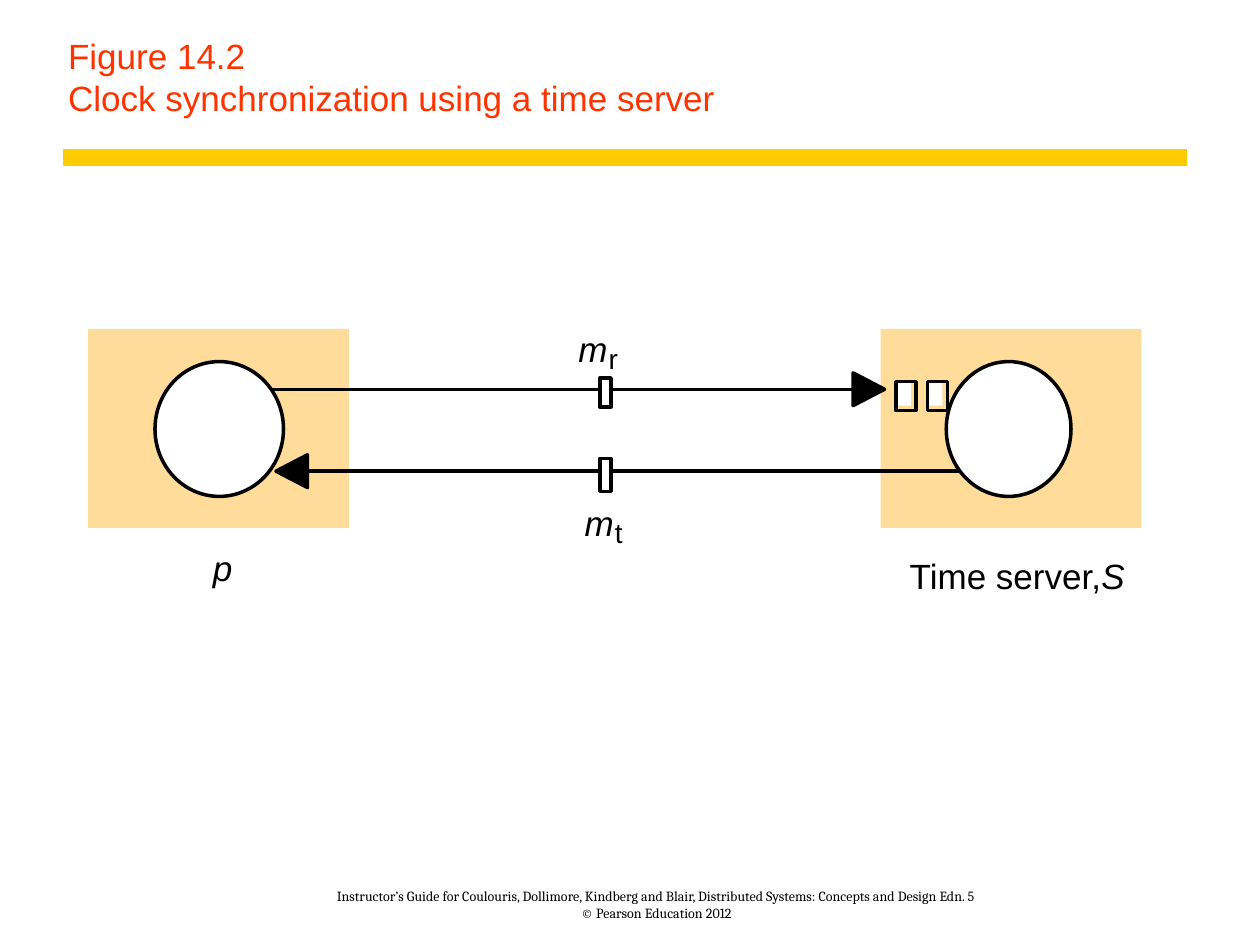
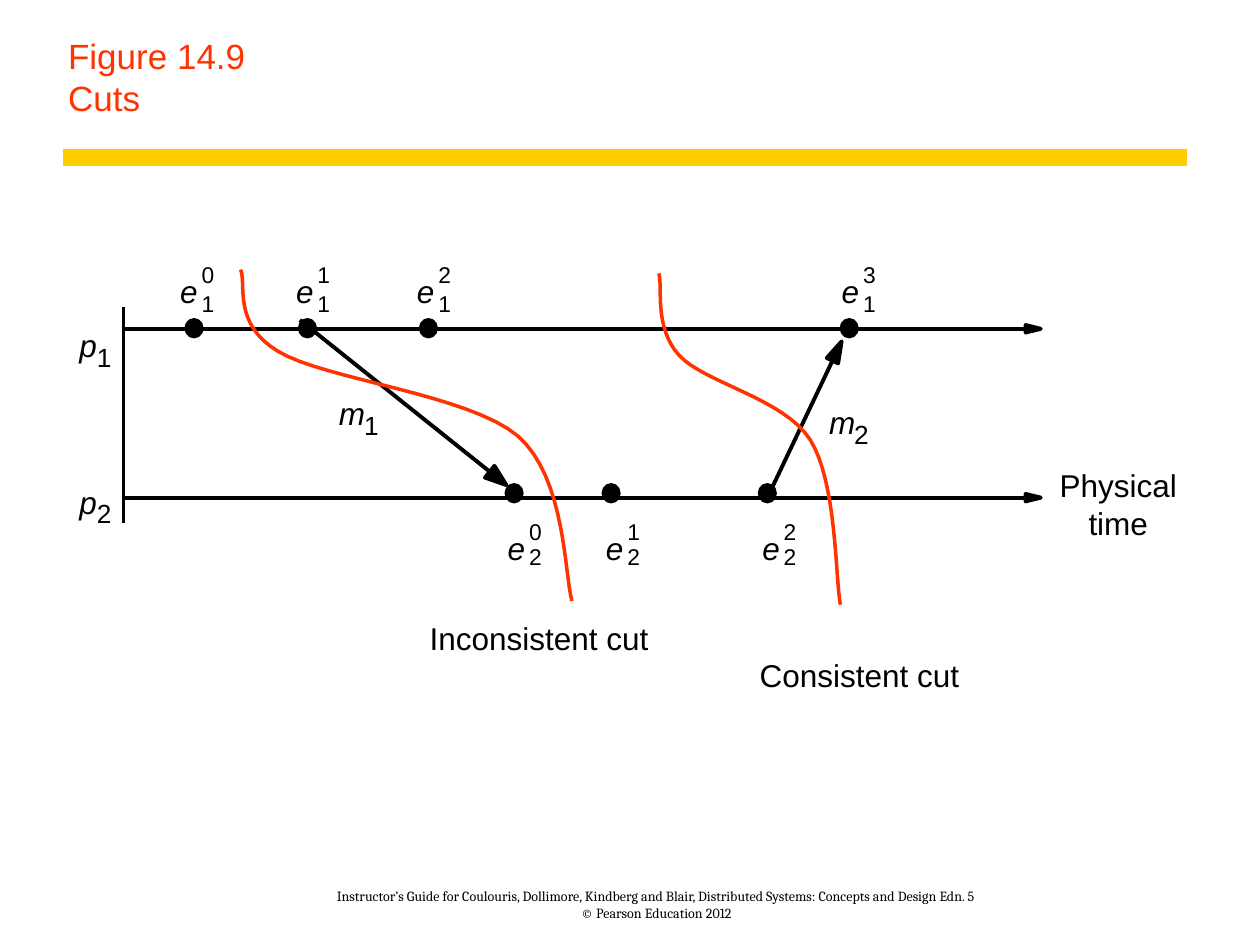
from collections import namedtuple
from math import hypot

from lxml import etree
from pptx import Presentation
from pptx.dml.color import RGBColor
from pptx.enum.shapes import MSO_CONNECTOR, MSO_SHAPE
from pptx.enum.text import MSO_ANCHOR, MSO_AUTO_SIZE, PP_ALIGN
from pptx.oxml.ns import qn
from pptx.util import Inches, Pt

RECTANGLE, ELLIPSE = MSO_SHAPE.RECTANGLE, MSO_SHAPE.OVAL
STRAIGHT = MSO_CONNECTOR.STRAIGHT
LEFT, CENTER = PP_ALIGN.LEFT, PP_ALIGN.CENTER
TOP, BOTTOM = MSO_ANCHOR.TOP, MSO_ANCHOR.BOTTOM

BLACK, WHITE = "000000", "FFFFFF"
RED, GOLD, PEACH = "FF3300", "FFCC00", "FFDC99"
FOOTER = (
    "Instructor’s Guide for Coulouris, Dollimore, Kindberg and Blair, "
    "Distributed Systems: Concepts and Design Edn. 5\n"
    "© Pearson Education 2012"
)
CURVE_STEPS = 16

Area = namedtuple("Area", "slide left top")


def color(hex_string):
    return RGBColor.from_string(hex_string)


def write_text(shape, text, size=18, font="Arial", fill=BLACK, italic=False,
               align=LEFT, anchor=TOP, margins=(0, 0, 0, 0)):
    frame = shape.text_frame
    frame.word_wrap = True
    frame.auto_size = MSO_AUTO_SIZE.NONE
    frame.vertical_anchor = anchor
    (frame.margin_left, frame.margin_top,
     frame.margin_right, frame.margin_bottom) = map(Inches, margins)
    paragraph = frame.paragraphs[0]
    paragraph.text = text.replace("\n", "\v")
    paragraph.alignment = align
    paragraph.font.name = font
    paragraph.font.size = Pt(size)
    paragraph.font.color.rgb = color(fill)
    paragraph.font.italic = italic
    return paragraph


def add_text(area, x, y, width, height, text, **text_format):
    shape = area.slide.shapes.add_textbox(
        Inches(area.left + x), Inches(area.top + y), Inches(width), Inches(height))
    return write_text(shape, text, **text_format)


def paint(shape, fill, line, weight):
    shape.shadow.inherit = False
    if fill:
        shape.fill.solid()
        shape.fill.fore_color.rgb = color(fill)
    else:
        shape.fill.background()
    if line:
        shape.line.color.rgb = color(line)
        shape.line.width = Pt(weight)
    else:
        shape.line.fill.background()


def add_shape(area, kind, x, y, width, height, fill=None, line=None, weight=2):
    shape = area.slide.shapes.add_shape(
        kind, Inches(area.left + x), Inches(area.top + y), Inches(width), Inches(height))
    paint(shape, fill, line, weight)


def add_line(area, start, end, line=BLACK, weight=2):
    (x1, y1), (x2, y2) = start, end
    connector = area.slide.shapes.add_connector(
        STRAIGHT, Inches(area.left + x1), Inches(area.top + y1),
        Inches(area.left + x2), Inches(area.top + y2))
    connector.line.color.rgb = color(line)
    connector.line.width = Pt(weight)
    etree.SubElement(connector._element.spPr, qn("a:effectLst"))


def add_outline(area, points, close, fill=None, line=BLACK, weight=2):
    places = [(Inches(area.left + x), Inches(area.top + y)) for x, y in points]
    builder = area.slide.shapes.build_freeform(*places[0])
    builder.add_line_segments(places[1:], close=close)
    paint(builder.convert_to_shape(), fill, line, weight)


def add_arrow(area, start, tip, head_length, half_width, weight=2):
    (x1, y1), (x2, y2) = start, tip
    distance = hypot(x2 - x1, y2 - y1)
    along_x, along_y = (x2 - x1) / distance, (y2 - y1) / distance
    base_x, base_y = x2 - head_length * along_x, y2 - head_length * along_y
    side_x, side_y = -half_width * along_y, half_width * along_x
    add_outline(area, [tip, (base_x + side_x, base_y + side_y),
                       (base_x - side_x, base_y - side_y)],
                close=True, fill=BLACK, weight=weight)
    add_line(area, start, (base_x, base_y), weight=weight)


def add_curve(area, controls, line):
    points = [controls[0]]
    for first in range(0, len(controls) - 1, 3):
        segment = controls[first:first + 4]
        for step in range(1, CURVE_STEPS + 1):
            t = step / CURVE_STEPS
            weights = ((1 - t) ** 3, 3 * t * (1 - t) ** 2, 3 * t ** 2 * (1 - t), t ** 3)
            points.append(tuple(
                sum(weight * point[axis] for weight, point in zip(weights, segment))
                for axis in (0, 1)))
    add_outline(area, points, close=False, line=line)


def add_symbol(area, x, y, letter, subscript, offset, size=18, index_size=15):
    add_text(area, x, y, 0.3, 0.31, letter, size=size, italic=True)
    add_text(area, x + offset[0], y + offset[1], 0.2, 0.24, subscript, size=index_size)


def add_figure_slide(presentation, title):
    slide = presentation.slides.add_slide(presentation.slide_layouts[5])
    page = Area(slide, 0, 0)
    heading = slide.shapes.title
    heading.left, heading.top = Inches(0.44), Inches(0)
    heading.width, heading.height = Inches(8.97), Inches(1)
    write_text(heading, title, size=20, fill=RED, anchor=BOTTOM,
               margins=(0.1, 0.06, 0.14, 0.06))
    add_line(page, (0.5, 1.25), (9.42, 1.25), line=GOLD, weight=10)
    add_text(page, 2.17, 6.92, 6.08, 0.39, FOOTER, size=8, font="Cambria",
             align=CENTER, anchor=BOTTOM, margins=(0.04, 0, 0.04, 0))
    return slide


def draw_time_server(area):
    request_y, reply_y = 0.48, 1.13
    for x in (0, 6.29):
        add_shape(area, RECTANGLE, x, 0, 2.07, 1.58, fill=PEACH)
    add_shape(area, ELLIPSE, 0.53, 0.26, 1.02, 1.07, fill=WHITE, line=BLACK)
    add_arrow(area, (1.46, request_y), (6.32, request_y), 0.25, 0.13)
    add_arrow(area, (7.03, reply_y), (1.49, reply_y), 0.25, 0.13)
    for x in (6.41, 6.66):
        add_shape(area, RECTANGLE, x, 0.42, 0.12, 0.19, fill=WHITE)
        add_shape(area, RECTANGLE, x, 0.42, 0.16, 0.23, line=BLACK)
    add_shape(area, ELLIPSE, 6.81, 0.26, 0.99, 1.07, fill=WHITE, line=BLACK)
    for y, height in ((0.39, 0.23), (1.03, 0.26)):
        add_shape(area, RECTANGLE, 4.06, y, 0.09, height, fill=WHITE, line=BLACK)
    for x, y, subscript in ((3.89, -0.01, "r"), (3.94, 1.37, "t")):
        add_symbol(area, x, y, "m", subscript, (0.24, 0.11), size=20, index_size=16)
    add_text(area, 0.99, 1.73, 0.3, 0.31, "p", size=20, italic=True)
    server_label = add_text(area, 6.52, 1.79, 1.9, 0.31, "Time server,", size=20)
    server_name = server_label.add_run()
    server_name.text = "S"
    server_name.font.italic = True


def draw_events(area, process, dot_y, label_y, subscript_drop, events):
    for number, (dot_x, label_x) in enumerate(events):
        add_shape(area, ELLIPSE, dot_x, dot_y, 0.12, 0.13,
                  fill=BLACK, line=BLACK, weight=2.25)
        add_symbol(area, label_x, label_y, "e", process, (0.17, subscript_drop),
                   index_size=13)
        add_text(area, label_x + 0.17, label_y - 0.09, 0.2, 0.22, str(number), size=13)


def draw_cuts(area):
    second_axis = 1.34
    for y in (0, second_axis):
        add_arrow(area, (0, y), (7.28, y), 0.12, 0.03, weight=2.25)
    add_line(area, (0, -0.17), (0, 1.54), weight=2.25)
    add_arrow(area, (1.4, -0.07), (3.04, 1.24), 0.17, 0.06, weight=2.25)
    add_arrow(area, (5.11, second_axis), (5.7, 0.1), 0.17, 0.05, weight=2.25)

    draw_events(area, "1", -0.07, -0.45, 0.14,
                [(0.5, 0.45), (1.4, 1.37), (2.36, 2.33), (5.7, 5.7)])
    draw_events(area, "2", 1.24, 1.59, 0.11,
                [(3.04, 3.05), (3.81, 3.83), (5.05, 5.07)])

    for x, y, letter, subscript, shift in (
            (1.71, 0.52, "m", "1", 0.2), (5.6, 0.59, "m", "2", 0.2),
            (-0.35, -0.02, "p", "1", 0.14), (-0.35, 1.22, "p", "2", 0.14)):
        add_symbol(area, x, y, letter, subscript, (shift, 0.12))
    add_text(area, 7.37, 1.09, 1.05, 0.6, "Physical\ntime", align=CENTER)
    add_text(area, 2.43, 2.3, 2, 0.28, "Inconsistent cut")
    add_text(area, 5.05, 2.6, 2, 0.28, "Consistent cut")

    inconsistent_cut = [
        (0.93, -0.47), (0.98, -0.36), (0.86, -0.04), (1.23, 0.18), (1.59, 0.4),
        (2.74, 0.52), (3.13, 0.85), (3.51, 1.18), (3.5, 1.95), (3.56, 2.16)]
    consistent_cut = [
        (4.25, -0.44), (4.28, -0.33), (4.21, -0.01), (4.41, 0.21), (4.61, 0.43),
        (5.24, 0.55), (5.45, 0.88), (5.66, 1.21), (5.65, 1.97), (5.69, 2.19)]
    for cut in (inconsistent_cut, consistent_cut):
        add_curve(area, cut, RED)


def main():
    presentation = Presentation()
    presentation.slide_width, presentation.slide_height = Inches(10), Inches(7.5)
    slide = add_figure_slide(
        presentation, "Figure 14.2\nClock synchronization using a time server")
    draw_time_server(Area(slide, 0.7, 2.61))
    slide = add_figure_slide(presentation, "Figure 14.9\nCuts")
    draw_cuts(Area(slide, 0.98, 2.61))
    presentation.save("out.pptx")


if __name__ == "__main__":
    main()
